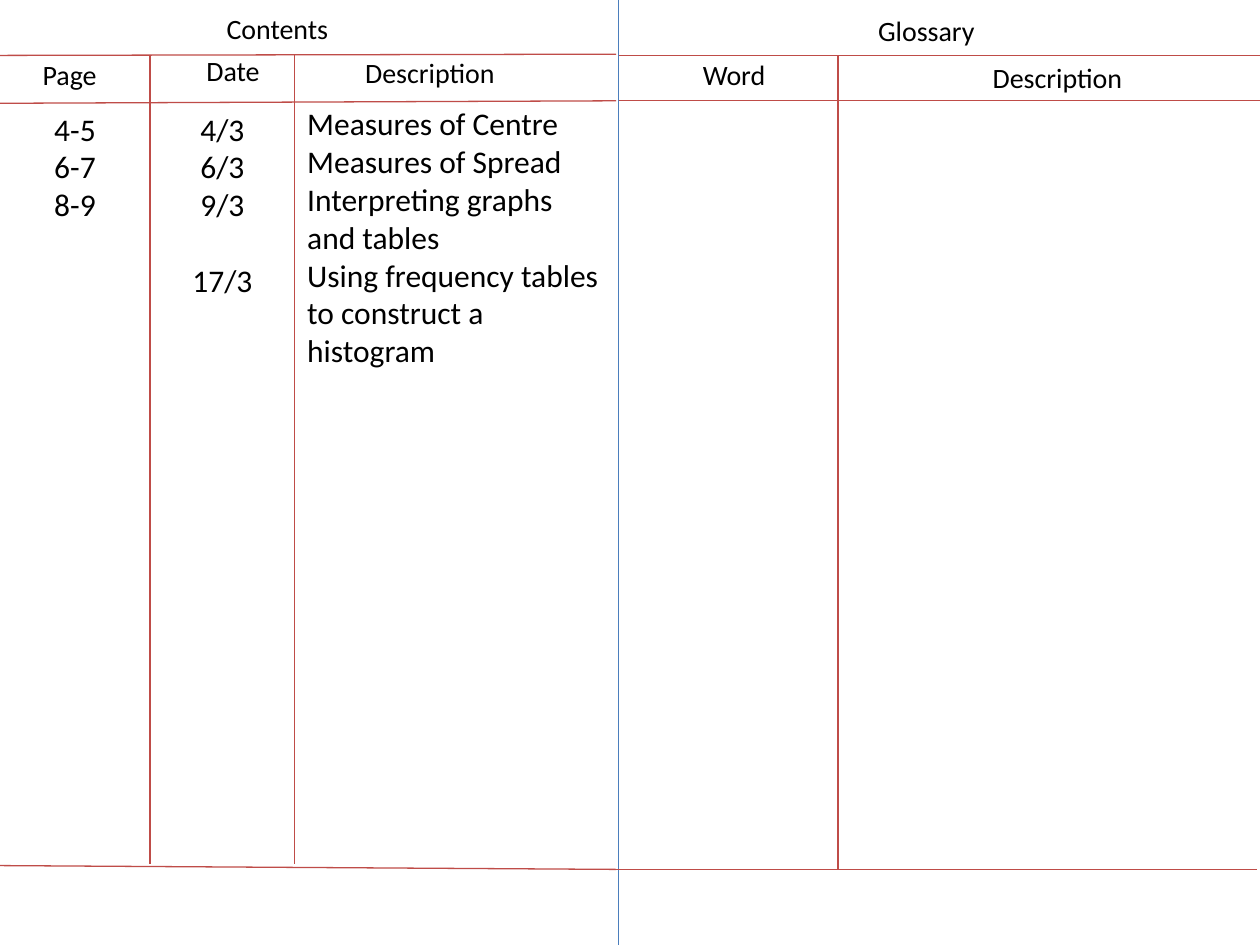
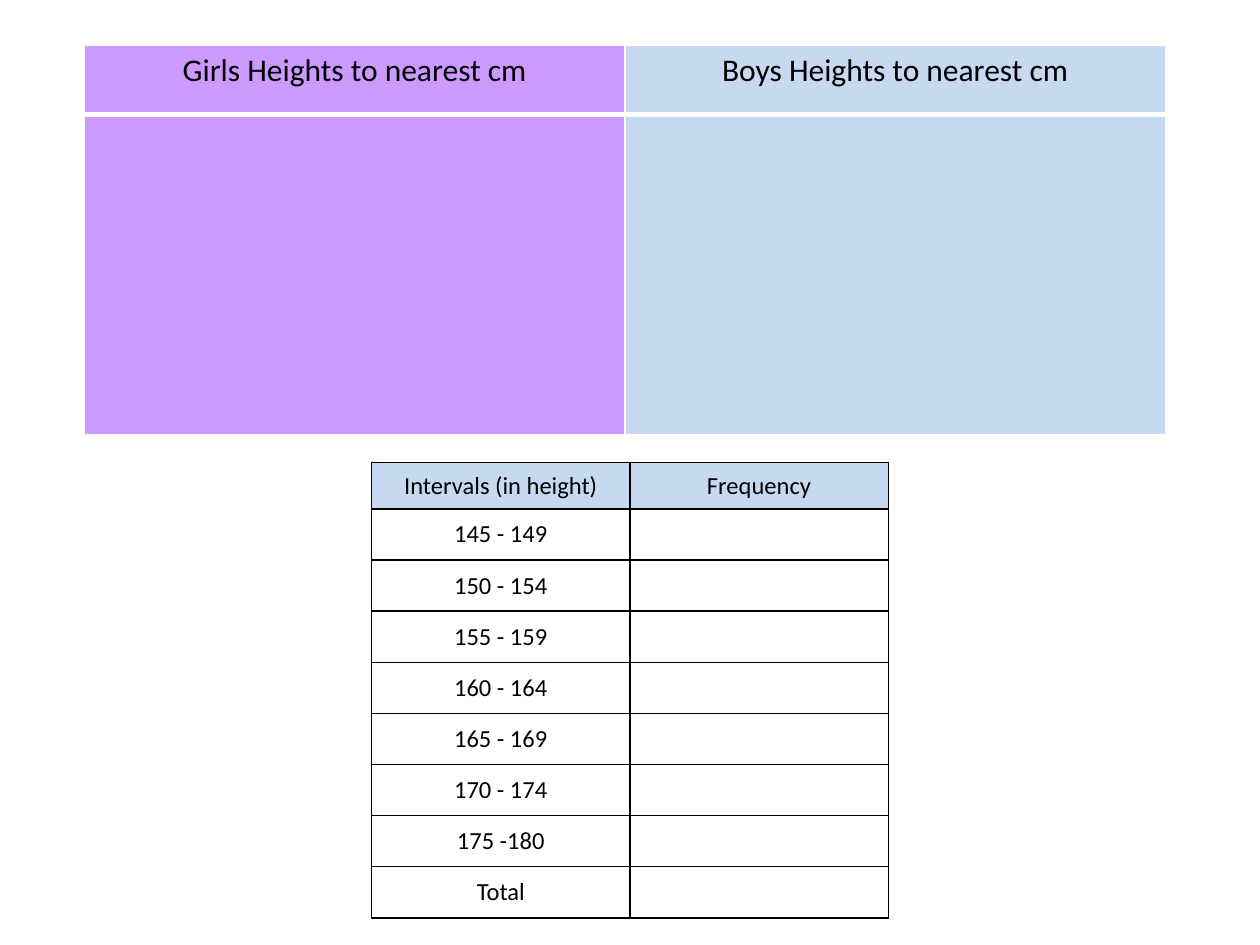
import pptx
import pptx.util
import pptx.dml.color
import pptx.enum.shapes
import pptx.enum.text
import pptx.oxml.ns
from lxml import etree

Inches = pptx.util.Inches
Pt = pptx.util.Pt
ALIGN = pptx.enum.text.PP_ALIGN
ANCHOR = pptx.enum.text.MSO_ANCHOR

BLACK, WHITE = "000000", "FFFFFF"
RED, BLUE = "BF4C48", "4B7EBC"
PURPLE, PALE_BLUE = "CC99FF", "C6D9F1"
BODY_SIZE, HEADING_SIZE, INTERVAL_SIZE = 18, 16, 14
LINE_HEIGHT = 22

FOLD, LEFT_END = 4.91, 4.89
HEAD_TOP, HEAD_BOTTOM, FOOT = 0.44, 0.8, 6.9
PAGE_EDGE, DATE_EDGE, WORD_EDGE = 1.19, 2.34, 6.65

RULES = [
    (FOLD, 0, FOLD, 7.5, BLUE),
    (0, HEAD_TOP, LEFT_END, 0.43, RED),
    (PAGE_EDGE, HEAD_TOP, PAGE_EDGE, 6.86, RED),
    (DATE_EDGE, HEAD_TOP, DATE_EDGE, 6.86, RED),
    (0, 0.82, LEFT_END, HEAD_BOTTOM, RED),
    (0, 6.87, LEFT_END, FOOT, RED),
    (FOLD, HEAD_TOP, 10, HEAD_TOP, RED),
    (FOLD, HEAD_BOTTOM, 10, HEAD_BOTTOM, RED),
    (LEFT_END, FOOT, 9.98, FOOT, RED),
    (WORD_EDGE, HEAD_TOP, WORD_EDGE, FOOT, RED),
]

HEADINGS = [
    ("Contents", 1.7, 0.04, 1.02, False),
    ("Page", 0.24, 0.41, 0.64, False),
    ("Date", 1.54, 0.38, 0.63, False),
    ("Description", 2.8, 0.39, 1.53, True),
    ("Glossary", 6.87, 0.06, 1.11, True),
    ("Word", 5.48, 0.41, 0.88, True),
    ("Description", 7.78, 0.43, 1.24, True),
]

ENTRIES = [
    (["4-5", "6-7", "8-9"], (0, 0.82, PAGE_EDGE, 1.01), ALIGN.CENTER),
    (["4/3", "6/3", "9/3", "17/3"],
     (PAGE_EDGE, 0.82, DATE_EDGE - PAGE_EDGE, 1.62), ALIGN.CENTER),
    (["Measures of Centre", "Measures of Spread",
      "Interpreting graphs and tables",
      "Using frequency tables to construct a histogram"],
     (DATE_EDGE, 0.78, 2.54, 2.93), ALIGN.LEFT),
]
SPACE_BEFORE = {"17/3": LINE_HEIGHT}

INTERVALS = ["145 - 149", "150 - 154", "155 - 159", "160 - 164",
             "165 - 169", "170 - 174", "175 -180", "Total"]
FREQUENCY_ROWS = [["Intervals (in height)", "Frequency"]]
FREQUENCY_ROWS += [[interval, ""] for interval in INTERVALS]
HEIGHT_ROWS = [["Girls Heights to nearest cm", "Boys Heights to nearest cm"],
               ["", ""]]


def colour(value):
    return pptx.dml.color.RGBColor.from_string(value)


def write(para, text, size, align):
    para.alignment = align
    span = para.add_run()
    span.text = text
    span.font.color.rgb = colour(BLACK)
    for name, value in {"name": "Calibri", "size": Pt(size)}.items():
        setattr(span.font, name, value)


def add_text(page, lines, place, size, align=ALIGN.LEFT, wrap=True):
    frame = page.shapes.add_textbox(*map(Inches, place)).text_frame
    frame.word_wrap = wrap
    frame.auto_size = pptx.enum.text.MSO_AUTO_SIZE.SHAPE_TO_FIT_TEXT
    for index, line in enumerate(lines):
        para = frame.add_paragraph() if index else frame.paragraphs[0]
        write(para, line, size, align)
        if line in SPACE_BEFORE:
            para.space_before = Pt(SPACE_BEFORE[line])


def add_rule(page, left, top, right, bottom, hue):
    rule = page.shapes.add_connector(
        pptx.enum.shapes.MSO_CONNECTOR.STRAIGHT,
        *map(Inches, (left, top, right, bottom)))
    rule.line.color.rgb = colour(hue)
    rule.line.width = Pt(0.75)
    etree.SubElement(rule._element.spPr, pptx.oxml.ns.qn("a:effectLst"))


def add_borders(cell, hue, widths):
    qn = pptx.oxml.ns.qn
    properties = cell._tc.get_or_add_tcPr()
    for side, width in zip("LRTB", widths):
        border = etree.SubElement(properties, qn("a:ln" + side), w=str(Pt(width)))
        fill = etree.SubElement(border, qn("a:solidFill"))
        etree.SubElement(fill, qn("a:srgbClr"), val=hue)


def add_grid(page, rows, place, heights, fills, size, anchor, hue, inner_width):
    left, top, width = place
    grid = page.shapes.add_table(
        len(rows), len(rows[0]),
        *map(Inches, (left, top, width, sum(heights)))).table
    for row, height in zip(grid.rows, heights):
        row.height = Inches(height)
    for r, texts in enumerate(rows):
        above = inner_width if r else 1
        below = inner_width if r < len(rows) - 1 else 1
        for c, text in enumerate(texts):
            cell = grid.cell(r, c)
            cell.vertical_anchor = anchor
            add_borders(cell, hue, (1, 1, above, below))
            if fills[r][c]:
                cell.fill.solid()
                cell.fill.fore_color.rgb = colour(fills[r][c])
            else:
                cell.fill.background()
            if text:
                write(cell.text_frame.paragraphs[0], text, size, ALIGN.CENTER)


def build_contents(page):
    for rule in RULES:
        add_rule(page, *rule)
    for text, left, top, width, wrap in HEADINGS:
        add_text(page, [text], (left, top, width, 0.37), HEADING_SIZE, wrap=wrap)
    for lines, place, align in ENTRIES:
        add_text(page, lines, place, BODY_SIZE, align)


def build_heights(page):
    count = len(INTERVALS)
    add_grid(page, FREQUENCY_ROWS, (2.95, 3.67, 4.1), [0.37] + [0.4] * count,
             [[PALE_BLUE] * 2] + [[None] * 2] * count,
             INTERVAL_SIZE, ANCHOR.MIDDLE, BLACK, 1)
    add_grid(page, HEIGHT_ROWS, (0.67, 0.36, 8.58), [0.55, 2.54],
             [[PURPLE, PALE_BLUE]] * 2, BODY_SIZE, ANCHOR.TOP, WHITE, 3)


def main():
    deck = pptx.Presentation()
    deck.slide_width, deck.slide_height = Inches(10), Inches(7.5)
    blank = deck.slide_layouts.get_by_name("Blank")
    for build in (build_contents, build_heights):
        build(deck.slides.add_slide(blank))
    deck.save("out.pptx")


if __name__ == "__main__":
    main()
